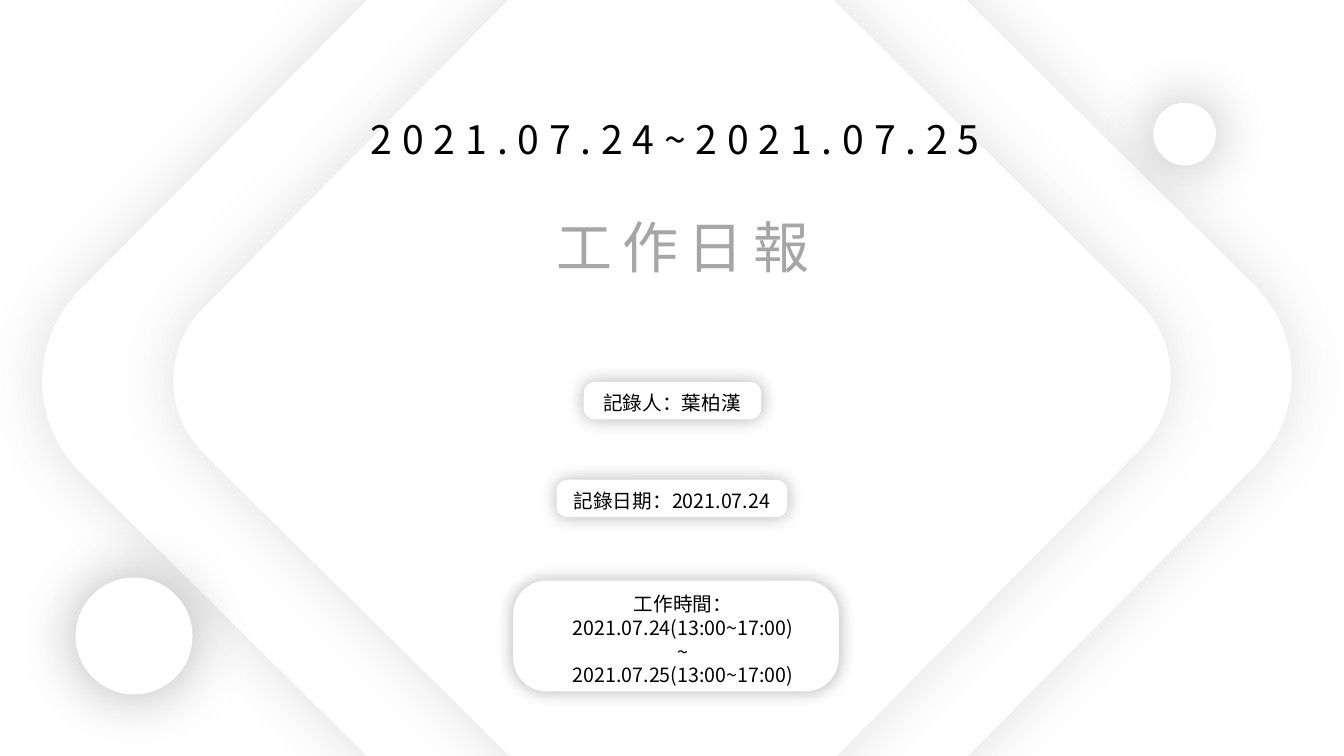
import lxml.etree
import pptx
import pptx.dml.color
import pptx.enum.shapes
import pptx.enum.text
import pptx.oxml.ns
import pptx.util

Inches = pptx.util.Inches
Pt = pptx.util.Pt
RGBColor = pptx.dml.color.RGBColor
MSO_SHAPE = pptx.enum.shapes.MSO_SHAPE
qn = pptx.oxml.ns.qn

WHITE = RGBColor(0xFF, 0xFF, 0xFF)
BLACK = RGBColor(0x00, 0x00, 0x00)
GRAY = RGBColor(0xA6, 0xA6, 0xA6)
DARK_GRAY = RGBColor(0x59, 0x59, 0x59)


class Deck:
    font = "Noto Sans CJK SC"
    line_ratio = 1.2

    def __init__(self, width, height):
        self.prs = pptx.Presentation()
        self.prs.slide_width = Inches(width)
        self.prs.slide_height = Inches(height)
        self.s = self.prs.slides.add_slide(self.prs.slide_layouts[6])
        self.s.background.fill.solid()
        self.s.background.fill.fore_color.rgb = WHITE

    def raised(self, shapes, kind, box, blur, opacity, shade=BLACK,
               corner=None, rotation=0):
        """Add a white shape with a soft shadow all around it."""
        sp = shapes.add_shape(kind, *map(Inches, box))
        sp.rotation = rotation
        if corner is not None:
            sp.adjustments[0] = corner
        sp.fill.solid()
        sp.fill.fore_color.rgb = WHITE
        sp.line.fill.background()
        sp.shadow.inherit = False
        effects = sp._element.spPr.find(qn("a:effectLst"))
        shadow = lxml.etree.SubElement(
            effects, qn("a:outerShdw"), blurRad=str(int(Pt(blur))), dist="0",
            dir="0", algn="ctr", rotWithShape="0")
        color = lxml.etree.SubElement(shadow, qn("a:srgbClr"), val=str(shade))
        lxml.etree.SubElement(color, qn("a:alpha"), val=str(opacity * 1000))

    def text(self, shapes, box, lines, size, color=BLACK, spacing=0):
        tf = shapes.add_textbox(*map(Inches, box)).text_frame
        tf.word_wrap = True
        tf.margin_top = Inches(0.05) + Pt(0.09 * size)
        tf.margin_bottom = 0
        for i, line in enumerate(lines):
            p = tf.add_paragraph() if i else tf.paragraphs[0]
            p.alignment = pptx.enum.text.PP_ALIGN.CENTER
            p.line_spacing = Pt(self.line_ratio * size)
            r = p.add_run()
            r.text = line
            r.font.size = Pt(size)
            r.font.name = self.font
            r.font.color.rgb = color
            rPr = r.font._element
            lxml.etree.SubElement(rPr, qn("a:ea"), typeface=self.font)
            if spacing:
                rPr.set("spc", str(spacing * 100))

    def label(self, card_box, text_box, lines):
        """Group a rounded card with its text."""
        shapes = self.s.shapes.add_group_shape().shapes
        self.raised(shapes, MSO_SHAPE.ROUNDED_RECTANGLE, card_box, 13, 30,
                    corner=0.302)
        self.text(shapes, text_box, lines, 14)


def main():
    deck = Deck(13.33, 7.5)
    shapes = deck.s.shapes

    for left, top, side in ((1.86, -1, 9.51), (2.87, -0.04, 7.59)):
        deck.raised(shapes, MSO_SHAPE.ROUNDED_RECTANGLE,
                    (left, top, side, side), 43, 19, DARK_GRAY,
                    corner=0.134, rotation=44.7)

    deck.text(shapes, (3.06, 1.06, 7.28, 0.57), ["2021.07.24~2021.07.25"],
              28, spacing=7)
    deck.text(shapes, (4.4, 2.01, 4.75, 0.77), ["工作日報"], 40, GRAY,
              spacing=7)

    for left, top, side in ((0.75, 5.73, 1.16), (11.44, 1.02, 0.62)):
        deck.raised(shapes, MSO_SHAPE.OVAL, (left, top, side, side), 43, 30)

    deck.label((5.79, 3.79, 1.76, 0.37), (5.62, 3.81, 2.09, 0.34),
               ["記錄人：葉柏漢"])
    deck.label((5.52, 4.76, 2.29, 0.37), (5.46, 4.78, 2.41, 0.34),
               ["記錄日期：2021.07.24"])
    deck.label((5.09, 5.76, 3.23, 1.1), (5.12, 5.81, 3.31, 1.04),
               ["工作時間：", "2021.07.24(13:00~17:00)", "~",
                "2021.07.25(13:00~17:00)"])

    deck.prs.save("out.pptx")


if __name__ == "__main__":
    main()
